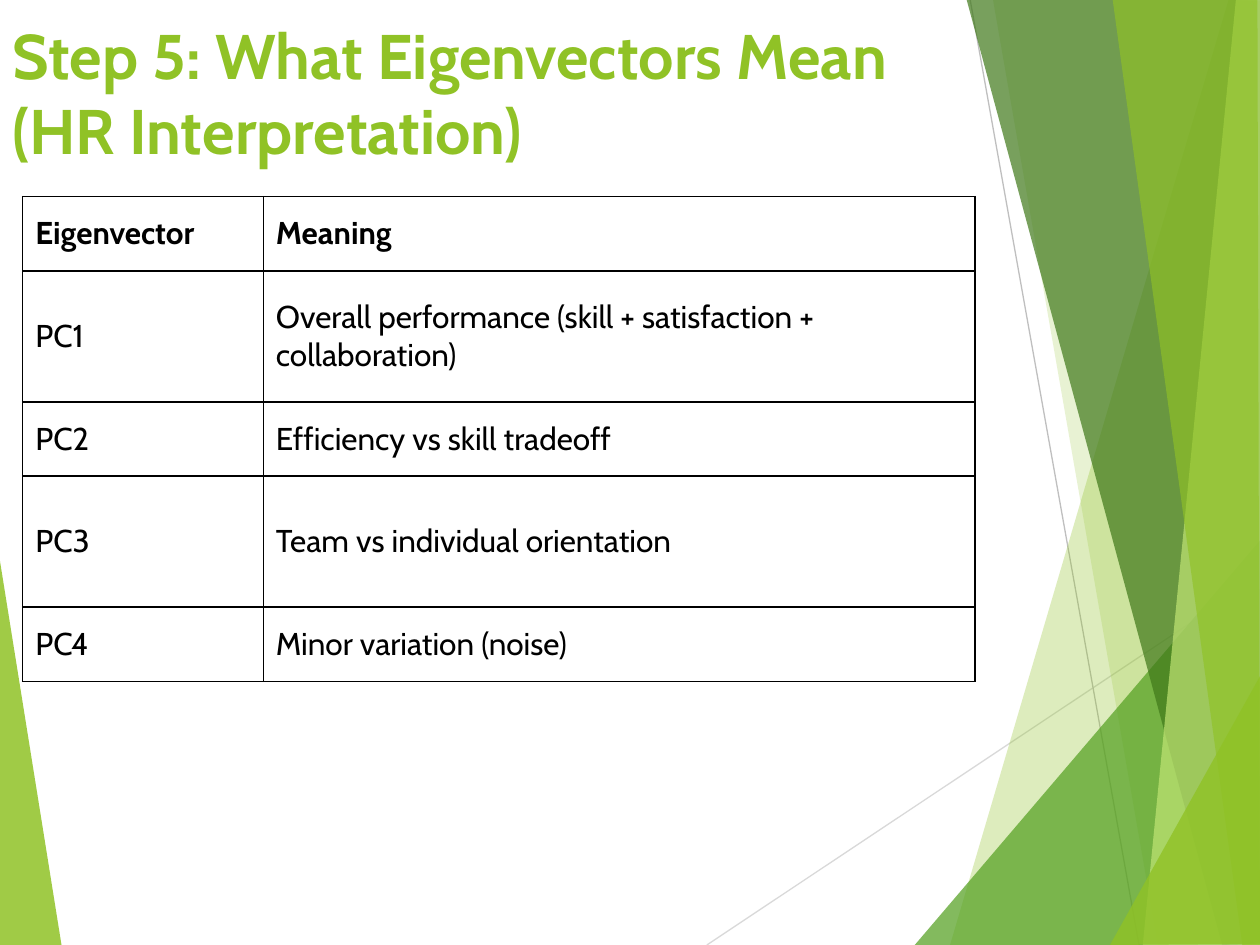
from lxml import etree
from pptx import Presentation
from pptx.dml.color import RGBColor
from pptx.enum.shapes import MSO_CONNECTOR
from pptx.enum.text import MSO_ANCHOR
from pptx.oxml.ns import qn
from pptx.util import Inches, Pt

COLORS = {
    "lime": "90C226",
    "green": "54A021",
    "forest": "3F7819",
    "pale": "C0E474",
    "light gray": "D9D9D9",
    "gray": "BFBFBF",
    "black": "000000",
}


def style_font(font, size, color, bold):
    formats = {"name": "Cabin", "size": Pt(size), "bold": bold}
    for attribute, value in formats.items():
        setattr(font, attribute, value)
    font.color.rgb = RGBColor.from_string(COLORS[color])


def add_facet(slide, color, opacity, points):
    """Draw a borderless polygon with the given opacity in percent."""
    corners = [(Inches(x), Inches(y)) for x, y in points]
    builder = slide.shapes.build_freeform(*corners[0])
    builder.add_line_segments(corners[1:], close=True)
    facet = builder.convert_to_shape()
    facet.shadow.inherit = False
    facet.fill.solid()
    facet.fill.fore_color.rgb = RGBColor.from_string(COLORS[color])
    facet.line.fill.background()
    rgb = facet.fill._xPr.find(qn("a:solidFill")).find(qn("a:srgbClr"))
    etree.SubElement(rgb, qn("a:alpha"), val=str(opacity * 1000))


prs = Presentation()
prs.slide_width = Inches(10)
prs.slide_height = Inches(7.5)
slide = prs.slides.add_slide(prs.slide_layouts[6])

# Background facets and hairlines, back to front
add_facet(slide, "lime", 85, [(-0.01, 4.39), (0.49, 7.51), (-0.01, 7.5)])

hairlines = [
    ("light gray", (5.61, 7.5), (10.01, 4.57)),
    ("gray", (7.7, 0), (9.04, 7.5)),
]
for color, start, end in hairlines:
    hairline = slide.shapes.add_connector(
        MSO_CONNECTOR.STRAIGHT, *map(Inches, start + end))
    hairline.line.color.rgb = RGBColor.from_string(COLORS[color])
    hairline.line.width = Pt(0.75)
    etree.SubElement(hairline._element.spPr, qn("a:effectLst"))

right_facets = [
    ("lime", 30, [(9.75, 0), (7.54, 7.5), (10.02, 7.51), (10.01, 0.01)]),
    ("lime", 20, [(7.88, -0.01), (9.19, 7.5), (10.01, 7.5), (10.01, -0.01)]),
    ("green", 72, [(7.26, 7.5), (10, 4.29), (10.01, 7.5)]),
    ("forest", 70, [(7.67, -0.01), (9.7, 7.5), (10.01, 7.49), (10.01, -0.01)]),
    ("pale", 70, [(9.81, -0.01), (9.07, 7.5), (10.01, 7.5), (10, -0.01)]),
    ("lime", 65, [(8.83, -0.01), (9.86, 7.5), (10, 7.5), (9.98, -0.01)]),
    ("lime", 80, [(8.81, 7.5), (10.01, 5.35), (10.01, 7.49)]),
]
for color, opacity, points in right_facets:
    add_facet(slide, color, opacity, points)

# Title
title = slide.shapes.add_textbox(
    Inches(0), Inches(0.08), Inches(7.91), Inches(1.44)).text_frame
title.word_wrap = True
title.vertical_anchor = MSO_ANCHOR.TOP
heading = title.paragraphs[0].add_run()
heading.text = "Step 5: What Eigenvectors Mean (HR Interpretation)"
style_font(heading.font, 36, "lime", True)

# Eigenvector meanings
meanings = [
    ("Eigenvector", "Meaning"),
    ("PC1", "Overall performance (skill + satisfaction + collaboration)"),
    ("PC2", "Efficiency vs skill tradeoff"),
    ("PC3", "Team vs individual orientation"),
    ("PC4", "Minor variation (noise)"),
]
column_widths = [1.91, 5.65]
row_heights = [0.59, 1.04, 0.59, 1.04, 0.59]
table = slide.shapes.add_table(
    len(meanings), len(column_widths), Inches(0.18), Inches(1.56),
    Inches(sum(column_widths)), Inches(sum(row_heights))).table
table.horz_banding = False
for column, width in zip(table.columns, column_widths):
    column.width = Inches(width)

for index, (row, height, texts) in enumerate(
        zip(table.rows, row_heights, meanings)):
    row.height = Inches(height)
    for cell, text in zip(row.cells, texts):
        cell.vertical_anchor = MSO_ANCHOR.MIDDLE
        run = cell.text_frame.paragraphs[0].add_run()
        run.text = text
        style_font(run.font, 18, "black", index == 0)
        # Borders must precede the fill in the cell properties
        properties = cell._tc.get_or_add_tcPr()
        for side in ("lnL", "lnR", "lnT", "lnB"):
            border = etree.SubElement(
                properties, qn(f"a:{side}"), w=str(Pt(1)))
            border_fill = etree.SubElement(border, qn("a:solidFill"))
            etree.SubElement(
                border_fill, qn("a:srgbClr"), val=COLORS["black"])
        cell.fill.background()

prs.save("out.pptx")
